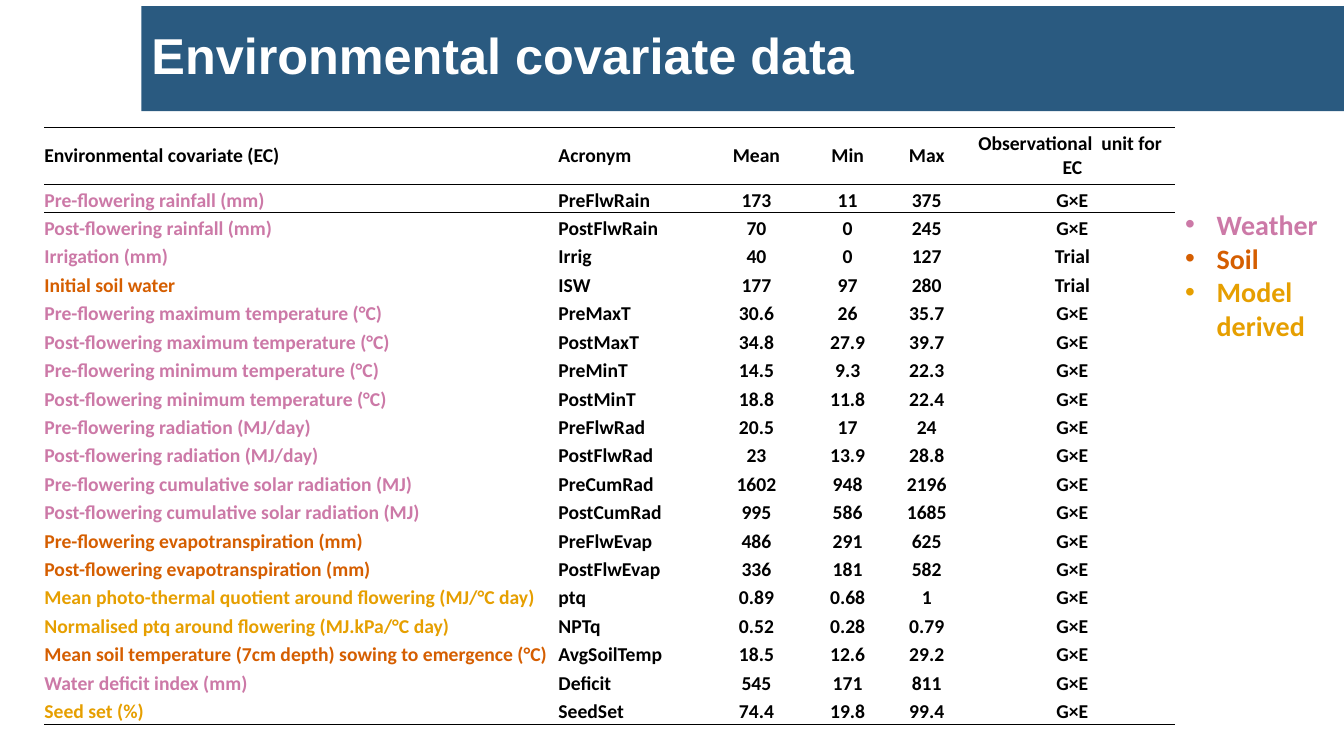
"""Build the slide with the environmental covariate table."""
from typing import NamedTuple

from lxml.etree import SubElement
from pptx import Presentation
from pptx.dml.color import RGBColor
from pptx.enum.shapes import MSO_SHAPE
from pptx.enum.text import MSO_ANCHOR, PP_ALIGN
from pptx.oxml.ns import qn
from pptx.shapes.graphfrm import GraphicFrame
from pptx.slide import Slide
from pptx.table import _Cell as Cell
from pptx.text.text import Font
from pptx.util import Pt

COLOURS = {
    "band": "2A5A80",
    "title": "FFFFFF",
    "text": "000000",
    "weather": "CC79A7",
    "soil": "D55E00",
    "derived": "E69F00",
}
PLAIN_STYLE = "{2D5ABB26-0587-4C30-8999-92F81FD0307C}"
ROW_HEIGHT = 20.3


class Column(NamedTuple):
    """Heading, width in points and alignment of a table column."""
    heading: str
    width: float
    align: PP_ALIGN = PP_ALIGN.CENTER


class Covariate(NamedTuple):
    """One environmental covariate and its summary."""
    group: str
    name: str
    acronym: str
    mean: str
    low: str
    high: str
    unit: str = "G×E"


class LegendEntry(NamedTuple):
    """One bullet that names a covariate group."""
    group: str
    label: str


COLUMNS = [
    Column("Environmental covariate (EC)", 367.2, PP_ALIGN.LEFT),
    Column("Acronym", 102.2, PP_ALIGN.LEFT),
    Column("Mean", 78.5),
    Column("Min", 51.8),
    Column("Max", 61.2),
    Column("Observational  unit for  EC", 146.9),
]
COVARIATES = [
    Covariate("weather", "Pre-flowering rainfall (mm)", "PreFlwRain", "173", "11", "375"),
    Covariate("weather", "Post-flowering rainfall (mm)", "PostFlwRain", "70", "0", "245"),
    Covariate("weather", "Irrigation (mm)", "Irrig", "40", "0", "127", "Trial"),
    Covariate("soil", "Initial soil water", "ISW", "177", "97", "280", "Trial"),
    Covariate("weather", "Pre-flowering maximum temperature (°C)", "PreMaxT", "30.6", "26", "35.7"),
    Covariate("weather", "Post-flowering maximum temperature (°C)", "PostMaxT", "34.8", "27.9", "39.7"),
    Covariate("weather", "Pre-flowering minimum temperature (°C)", "PreMinT", "14.5", "9.3", "22.3"),
    Covariate("weather", "Post-flowering minimum temperature (°C)", "PostMinT", "18.8", "11.8", "22.4"),
    Covariate("weather", "Pre-flowering radiation (MJ/day)", "PreFlwRad", "20.5", "17", "24"),
    Covariate("weather", "Post-flowering radiation (MJ/day)", "PostFlwRad", "23", "13.9", "28.8"),
    Covariate("weather", "Pre-flowering cumulative solar radiation (MJ)", "PreCumRad", "1602", "948", "2196"),
    Covariate("weather", "Post-flowering cumulative solar radiation (MJ)", "PostCumRad", "995", "586", "1685"),
    Covariate("soil", "Pre-flowering evapotranspiration (mm)", "PreFlwEvap", "486", "291", "625"),
    Covariate("soil", "Post-flowering evapotranspiration (mm)", "PostFlwEvap", "336", "181", "582"),
    Covariate("derived", "Mean photo-thermal quotient around flowering (MJ/°C day)", "ptq", "0.89", "0.68", "1"),
    Covariate("derived", "Normalised ptq around flowering (MJ.kPa/°C day)", "NPTq", "0.52", "0.28", "0.79"),
    Covariate("soil", "Mean soil temperature (7cm depth) sowing to emergence (°C)", "AvgSoilTemp", "18.5", "12.6", "29.2"),
    Covariate("weather", "Water deficit index (mm)", "Deficit", "545", "171", "811"),
    Covariate("derived", "Seed set (%)", "SeedSet", "74.4", "19.8", "99.4"),
]
LEGEND = [
    LegendEntry("weather", "Weather"),
    LegendEntry("soil", "Soil"),
    LegendEntry("derived", "Model derived"),
]
RULES = {0: ("lnT", "lnB"), 1: ("lnT",), len(COVARIATES): ("lnB",)}


def format_font(font: Font, size: float, colour: str, name: str = "Calibri") -> None:
    """Make a font bold with the given size, colour and typeface."""
    font.name, font.size, font.bold = name, Pt(size), True
    font.color.rgb = RGBColor.from_string(COLOURS[colour])


def add_title(page: Slide) -> None:
    """Place the title on its coloured band."""
    band = page.shapes.add_shape(MSO_SHAPE.RECTANGLE, Pt(101), Pt(4.4), Pt(859), Pt(75))
    band.shadow.inherit = False
    band.fill.solid()
    band.fill.fore_color.rgb = RGBColor.from_string(COLOURS["band"])
    band.line.fill.background()

    title = page.shapes.title
    title.element.addprevious(band.element)
    title.left, title.top, title.width, title.height = Pt(101), Pt(4.4), Pt(850), Pt(75)
    title.text_frame.text = "Environmental covariate data"
    title.text_frame.vertical_anchor = MSO_ANCHOR.MIDDLE
    para = title.text_frame.paragraphs[0]
    para.alignment, para.line_spacing = PP_ALIGN.LEFT, 0.9
    format_font(para.runs[0].font, 36, "title", "Arial")


def fill_cell(cell: Cell, text: str, colour: str, align: PP_ALIGN, anchor: MSO_ANCHOR) -> None:
    """Write and format the text of a cell."""
    cell.margin_left = cell.margin_right = cell.margin_top = cell.margin_bottom = 0
    cell.vertical_anchor = anchor
    cell.text_frame.text = text
    para = cell.text_frame.paragraphs[0]
    para.alignment = align
    format_font(para.runs[0].font, 14, colour)


def add_rules(frame: GraphicFrame) -> None:
    """Draw the horizontal rules of the table and clear every cell's fill."""
    all_properties = frame.element.iter(qn("a:tcPr"))
    for index, (cell, properties) in enumerate(zip(frame.table.iter_cells(), all_properties)):
        for side in RULES.get(index // len(COLUMNS), ()):
            line = SubElement(properties, qn(f"a:{side}"), w=str(int(Pt(0.5))))
            fill = SubElement(line, qn("a:solidFill"))
            SubElement(fill, qn("a:srgbClr"), val=COLOURS["text"])
        cell.fill.background()


def add_covariate_table(page: Slide) -> None:
    """Add the table of covariates."""
    frame = page.shapes.add_table(
        len(COVARIATES) + 1, len(COLUMNS), Pt(31.7), Pt(90.8),
        Pt(sum(column.width for column in COLUMNS)), Pt(ROW_HEIGHT * (len(COVARIATES) + 2)))
    table = frame.table
    table.first_row = table.horz_banding = False
    next(frame.element.iter(qn("a:tableStyleId"))).text = PLAIN_STYLE
    for position, column in enumerate(COLUMNS):
        table.columns[position].width = Pt(column.width)
        fill_cell(table.cell(0, position), column.heading, "text", column.align, MSO_ANCHOR.MIDDLE)
    for number, row in enumerate(table.rows):
        row.height = Pt(ROW_HEIGHT if number else 2 * ROW_HEIGHT)
    for number, covariate in enumerate(COVARIATES, start=1):
        for position, text in enumerate(covariate[1:]):
            colour = "text" if position else covariate.group
            fill_cell(table.cell(number, position), text, colour,
                      COLUMNS[position].align, MSO_ANCHOR.BOTTOM)
    add_rules(frame)


def add_legend(page: Slide) -> None:
    """Add the bulleted key to the covariate groups."""
    box = page.shapes.add_textbox(Pt(839.5), Pt(144.7), Pt(116), Pt(104.4))
    box.text_frame.word_wrap = True
    box.text_frame.text = "\n".join(entry.label for entry in LEGEND)
    for para, entry in zip(box.text_frame.paragraphs, LEGEND):
        para.alignment = PP_ALIGN.LEFT
        format_font(para.runs[0].font, 20, entry.group)
    for properties in box.element.iter(qn("a:pPr")):
        properties.set("marL", str(int(Pt(22.5))))
        properties.set("indent", str(int(Pt(-22.5))))
        SubElement(properties, qn("a:buFont"), typeface="Arial")
        SubElement(properties, qn("a:buChar"), char="•")


def main() -> None:
    """Build and save the deck."""
    deck = Presentation()
    deck.slide_width, deck.slide_height = Pt(960), Pt(540)
    page = deck.slides.add_slide(deck.slide_layouts[5])
    add_title(page)
    add_covariate_table(page)
    add_legend(page)
    deck.save("out.pptx")


if __name__ == "__main__":
    main()
